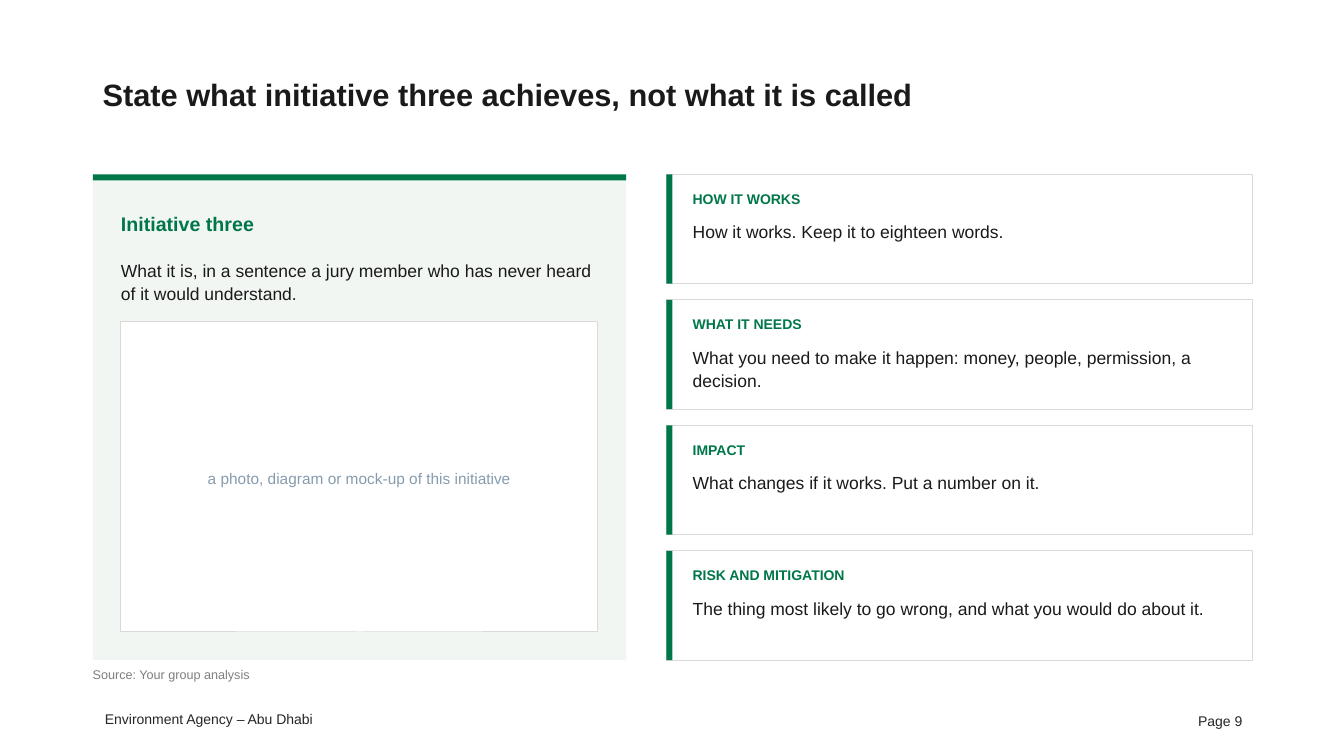
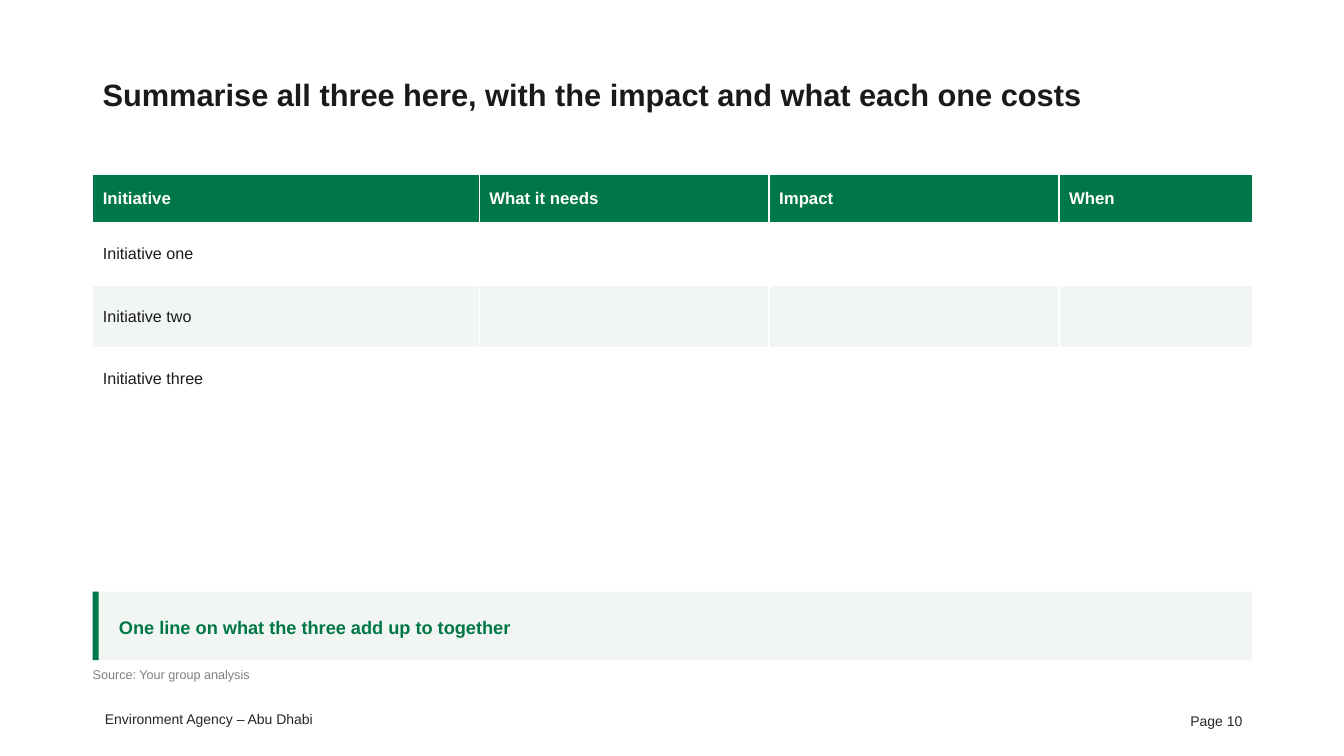
"""Build two initiative slides: one in detail and one summary."""
from pptx import Presentation
from pptx.dml.color import RGBColor
from pptx.enum.shapes import MSO_SHAPE
from pptx.enum.text import MSO_ANCHOR, PP_ALIGN
from pptx.util import Inches, Pt

COLORS = {
    "green": "007749", "tint": "F1F6F3", "white": "FFFFFF", "border": "D9D9D9",
    "ink": "1A1A1A", "footer": "262626", "source": "7F7F7F", "hint": "869CAE",
}
FONT = "Arial"
LEFT, TOP, WIDTH, BOTTOM = 0.92, 1.73, 11.5, 6.55
ACCENT = 0.06
CARD_LEFT, CARD_GAP = 6.61, 0.16
CARDS = [
    ("HOW IT WORKS", "How it works. Keep it to eighteen words."),
    ("WHAT IT NEEDS", "What you need to make it happen: money, people, permission, a decision."),
    ("IMPACT", "What changes if it works. Put a number on it."),
    ("RISK AND MITIGATION", "The thing most likely to go wrong, and what you would do about it."),
]
HEADERS = ["Initiative", "What it needs", "Impact", "When"]
INITIATIVES = ["Initiative one", "Initiative two", "Initiative three"]
COLUMN_SHARES = [4, 3, 3, 2]


def color(name):
    """Return the named colour."""
    return RGBColor.from_string(COLORS[name])


def write(frame, text, size, ink, bold=False, align=PP_ALIGN.LEFT, spacing=None, after=None):
    """Write one styled run into the first paragraph of a frame."""
    para = frame.paragraphs[0]
    para.alignment = align
    if spacing:
        para.line_spacing = spacing
    if after:
        para.space_after = Pt(after)
    span = para.add_run()
    span.text = text
    span.font.name = FONT
    span.font.size = Pt(size)
    span.font.bold = bold
    span.font.color.rgb = color(ink)


def add_box(page, left, top, width, height, anchor=MSO_ANCHOR.MIDDLE, wrap=True):
    """Add an empty text box and return its frame."""
    box = page.shapes.add_textbox(Inches(left), Inches(top), Inches(width), Inches(height))
    frame = box.text_frame
    frame.word_wrap = wrap
    frame.vertical_anchor = anchor
    return frame


def add_body(page, left, top, width, height, text, size, ink, bold=False,
             align=PP_ALIGN.LEFT, anchor=MSO_ANCHOR.TOP):
    """Add body text without insets."""
    frame = add_box(page, left, top, width, height, anchor)
    frame.margin_left = frame.margin_right = frame.margin_top = frame.margin_bottom = 0
    write(frame, text, size, ink, bold, align, spacing=1.12, after=3)


def add_panel(page, left, top, width, height, fill, border=None):
    """Add a flat rectangle, outlined when a border colour is given."""
    panel = page.shapes.add_shape(
        MSO_SHAPE.RECTANGLE, Inches(left), Inches(top), Inches(width), Inches(height))
    panel.shadow.inherit = False
    panel.fill.solid()
    panel.fill.fore_color.rgb = color(fill)
    if border:
        panel.line.color.rgb = color(border)
        panel.line.width = Pt(0.75)
    else:
        panel.line.fill.background()


def add_page(deck, title, number):
    """Add a blank slide with the shared title, source and footer."""
    page = deck.slides.add_slide(deck.slide_layouts[6])
    write(add_box(page, 9.42, 6.95, 3, 0.4), f"Page {number}", 10, "footer", align=PP_ALIGN.RIGHT)
    write(add_box(page, 0.91, 7, 2.29, 0.27, MSO_ANCHOR.TOP, wrap=False),
          "Environment Agency – Abu Dhabi", 10, "footer", align=PP_ALIGN.RIGHT)
    write(add_box(page, LEFT, 0.4, WIDTH, 1.05), title, 22, "ink", True, spacing=1.05)
    add_body(page, LEFT, 6.6, 8.4, 0.22, "Source: Your group analysis", 9, "source")
    return page


def add_initiative(page):
    """Add the tinted panel that introduces the initiative."""
    width, inset = 5.29, 0.28
    left, inner = LEFT + inset, width - 2 * inset
    add_panel(page, LEFT, TOP, width, BOTTOM - TOP, "tint")
    add_panel(page, LEFT, TOP, width, ACCENT, "green")
    add_body(page, left, 2.07, inner, 0.32, "Initiative three", 14, "green", True)
    add_body(page, left, 2.55, inner, 0.42,
             "What it is, in a sentence a jury member who has never heard of it would understand.",
             12.5, "ink")
    frame_area = (left, 3.19, inner, 3.08)
    add_panel(page, *frame_area, "white", "border")
    add_body(page, *frame_area, "a photo, diagram or mock-up of this initiative",
             11, "hint", align=PP_ALIGN.CENTER, anchor=MSO_ANCHOR.MIDDLE)


def add_card(page, top, height, label, text):
    """Add an outlined card with a green edge."""
    width = LEFT + WIDTH - CARD_LEFT
    left, inner = CARD_LEFT + 0.26, width - 0.52
    add_panel(page, CARD_LEFT, top, width, height, "white", "border")
    add_panel(page, CARD_LEFT, top, ACCENT, height, "green")
    add_body(page, left, top + 0.14, inner, 0.26, label, 10, "green", True)
    add_body(page, left, top + 0.44, inner, 0.51, text, 12.5, "ink")


def add_summary_table(page):
    """Add the table of initiatives with blank cells to fill in."""
    heights = [0.48] + [0.62] * len(INITIATIVES)
    table = page.shapes.add_table(
        len(heights), len(HEADERS), Inches(LEFT), Inches(TOP),
        Inches(WIDTH), Inches(sum(heights))).table
    table.horz_banding = False
    for column, share in zip(table.columns, COLUMN_SHARES):
        column.width = Inches(WIDTH * share / sum(COLUMN_SHARES))
    for index, height in enumerate(heights):
        table.rows[index].height = Inches(height)
        fill = "green" if index == 0 else "white" if index % 2 else "tint"
        texts = HEADERS if index == 0 else [INITIATIVES[index - 1]]
        for cell in table.rows[index].cells:
            cell.fill.solid()
            cell.fill.fore_color.rgb = color(fill)
            cell.vertical_anchor = MSO_ANCHOR.MIDDLE
        for cell, text in zip(table.rows[index].cells, texts):
            if index == 0:
                write(cell.text_frame, text, 12, "white", True)
            else:
                write(cell.text_frame, text, 11.5, "ink")


def add_callout(page, text):
    """Add the closing band with a green edge."""
    height = 0.68
    top = BOTTOM - height
    add_panel(page, LEFT, top, WIDTH, height, "tint")
    add_panel(page, LEFT, top, ACCENT, height, "green")
    add_body(page, LEFT + 0.26, top, WIDTH - 0.52, height, text, 13, "green", True,
             anchor=MSO_ANCHOR.MIDDLE)


def main():
    """Build and save the deck."""
    deck = Presentation()
    deck.slide_width, deck.slide_height = Inches(13.33), Inches(7.5)

    page = add_page(deck, "State what initiative three achieves, not what it is called", 9)
    add_initiative(page)
    height = (BOTTOM - TOP - CARD_GAP * (len(CARDS) - 1)) / len(CARDS)
    for index, (label, text) in enumerate(CARDS):
        add_card(page, TOP + index * (height + CARD_GAP), height, label, text)

    page = add_page(deck, "Summarise all three here, with the impact and what each one costs", 10)
    add_summary_table(page)
    add_callout(page, "One line on what the three add up to together")

    deck.save("out.pptx")


if __name__ == "__main__":
    main()
